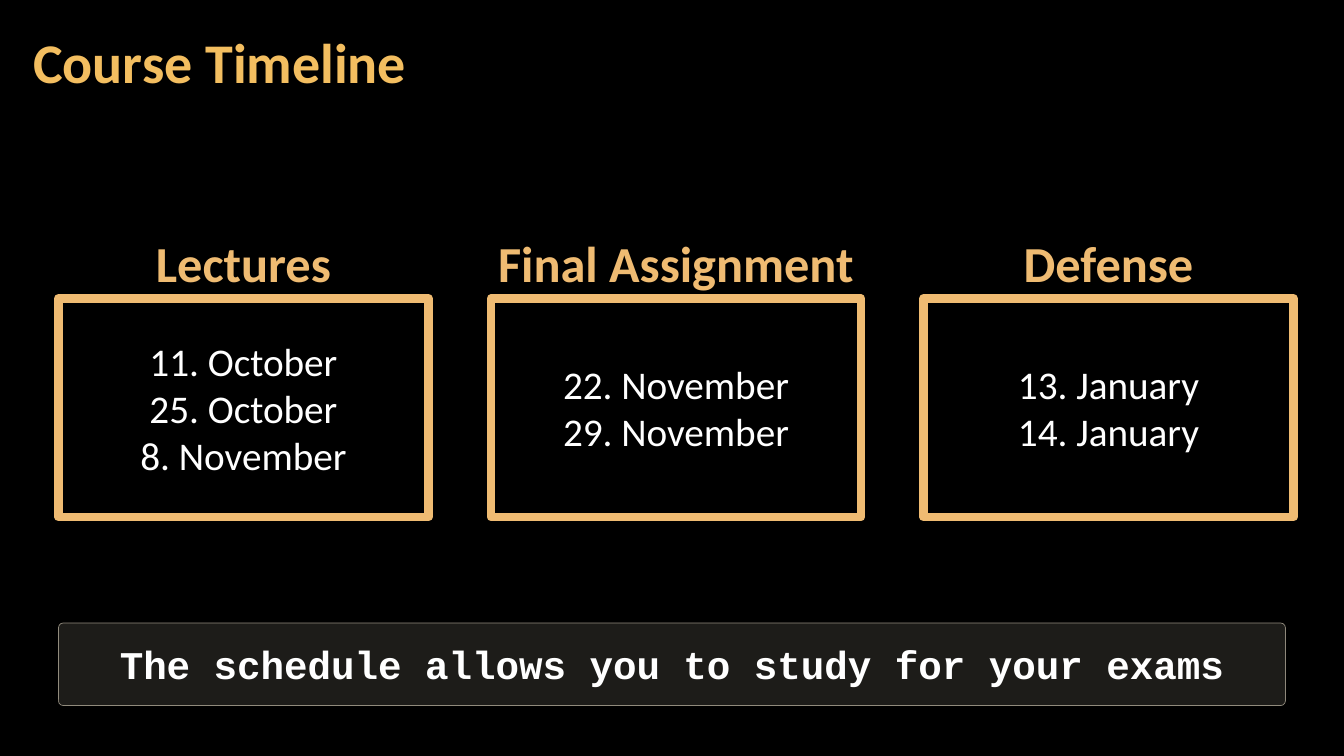
from pptx import Presentation
from pptx.dml.color import RGBColor
from pptx.enum.shapes import MSO_SHAPE
from pptx.enum.text import MSO_ANCHOR, PP_ALIGN
from pptx.oxml.ns import qn
from pptx.util import Inches, Pt
from lxml import etree

BLACK = RGBColor(0x00, 0x00, 0x00)
WHITE = RGBColor(0xFF, 0xFF, 0xFF)
GOLD = RGBColor(0xF3, 0xBE, 0x60)
AMBER = RGBColor(0xEF, 0xBB, 0x72)
SAND = RGBColor(0xC7, 0xBF, 0xAC)
LEFT, CENTER = PP_ALIGN.LEFT, PP_ALIGN.CENTER
TOP, MIDDLE = MSO_ANCHOR.TOP, MSO_ANCHOR.MIDDLE
RECTANGLE, ROUNDED = MSO_SHAPE.RECTANGLE, MSO_SHAPE.ROUNDED_RECTANGLE

PHASES = [
    ("Lectures", ["11. October", "25. October", "8. November"]),
    ("Final Assignment", ["22. November", "29. November"]),
    ("Defense", ["13. January", "14. January"]),
]
PHASE_PITCH = 4.29


def write(shape, lines, size, color, bold=False, font="Calibri",
          align=CENTER, anchor=MIDDLE, inset_y=0.05):
    """Fill a shape with one paragraph per line."""
    frame = shape.text_frame
    frame.word_wrap = True
    frame.vertical_anchor = anchor
    frame.margin_top = frame.margin_bottom = Inches(inset_y)
    for index, line in enumerate(lines):
        para = frame.add_paragraph() if index else frame.paragraphs[0]
        para.alignment = align
        span = para.add_run()
        span.text = line
        span.font.name = font
        span.font.size = Pt(size)
        span.font.bold = bold
        span.font.color.rgb = color


def add_text(page, box, lines, size, color, **style):
    shape = page.shapes.add_textbox(*map(Inches, box))
    write(shape, lines, size, color, **style)
    return shape


def add_box(page, kind, box, line_color, line_width):
    shape = page.shapes.add_shape(kind, *map(Inches, box))
    shape.shadow.inherit = False
    shape.line.color.rgb = line_color
    shape.line.width = Pt(line_width)
    return shape


def set_alpha(fill_parent, percent):
    """Make the solid fill inside the given element partly transparent."""
    color = fill_parent.find(qn("a:solidFill")).find(qn("a:srgbClr"))
    etree.SubElement(color, qn("a:alpha")).set("val", str(percent * 1000))


def add_title(page, box):
    title = page.shapes.title
    title.left, title.top, title.width, title.height = map(Inches, box)
    write(title, ["Course Timeline"], 40, GOLD, bold=True, align=LEFT, inset_y=0.04)
    title.text_frame.margin_left = title.text_frame.margin_right = Inches(0.12)
    title.text_frame.paragraphs[0].line_spacing = 0.9


def add_phase(page, box, heading, dates):
    left, top, width, height = box
    # Framed dates
    frame = add_box(page, RECTANGLE, box, AMBER, 6)
    frame.fill.background()
    write(frame, dates, 28, WHITE)
    # Heading above the frame, slightly wider than it
    add_text(page, (left - 0.12, top - 0.71, width + 0.24, 0.71),
             [heading], 36, AMBER, bold=True, anchor=TOP)


def add_banner(page, box):
    banner = add_box(page, ROUNDED, box, SAND, 0.5)
    banner.adjustments[0] = 0.06
    banner.fill.solid()
    banner.fill.fore_color.rgb = SAND
    properties = banner.fill._xPr
    set_alpha(properties, 15)
    set_alpha(properties.find(qn("a:ln")), 70)
    write(banner, ["The schedule allows you to study for your exams"], 28, WHITE,
          bold=True, font="Courier New", inset_y=0.12)


def build_timeline(deck):
    # Title Only layout keeps the title a real one
    page = deck.slides.add_slide(deck.slide_layouts[5])
    page.background.fill.solid()
    page.background.fill.fore_color.rgb = BLACK
    add_title(page, (0.21, 0.04, 10.47, 1.21))
    for index, (heading, dates) in enumerate(PHASES):
        add_phase(page, (0.58 + index * PHASE_PITCH, 2.96, 3.67, 2.17), heading, dates)
    add_banner(page, (0.58, 6.18, 12.17, 0.82))


def main():
    deck = Presentation()
    deck.slide_width, deck.slide_height = Inches(13.33), Inches(7.5)
    build_timeline(deck)
    deck.save("out.pptx")


if __name__ == "__main__":
    main()
